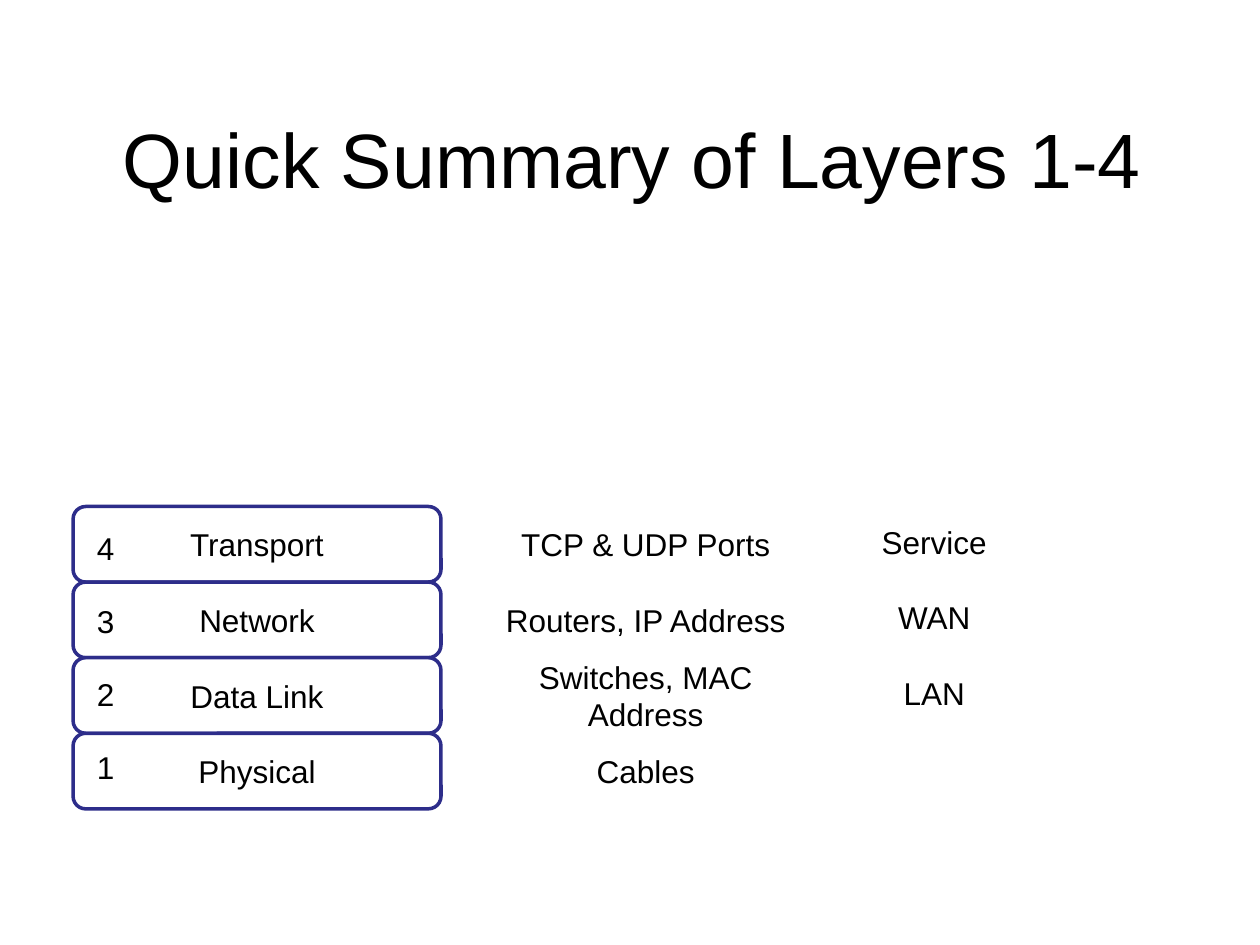
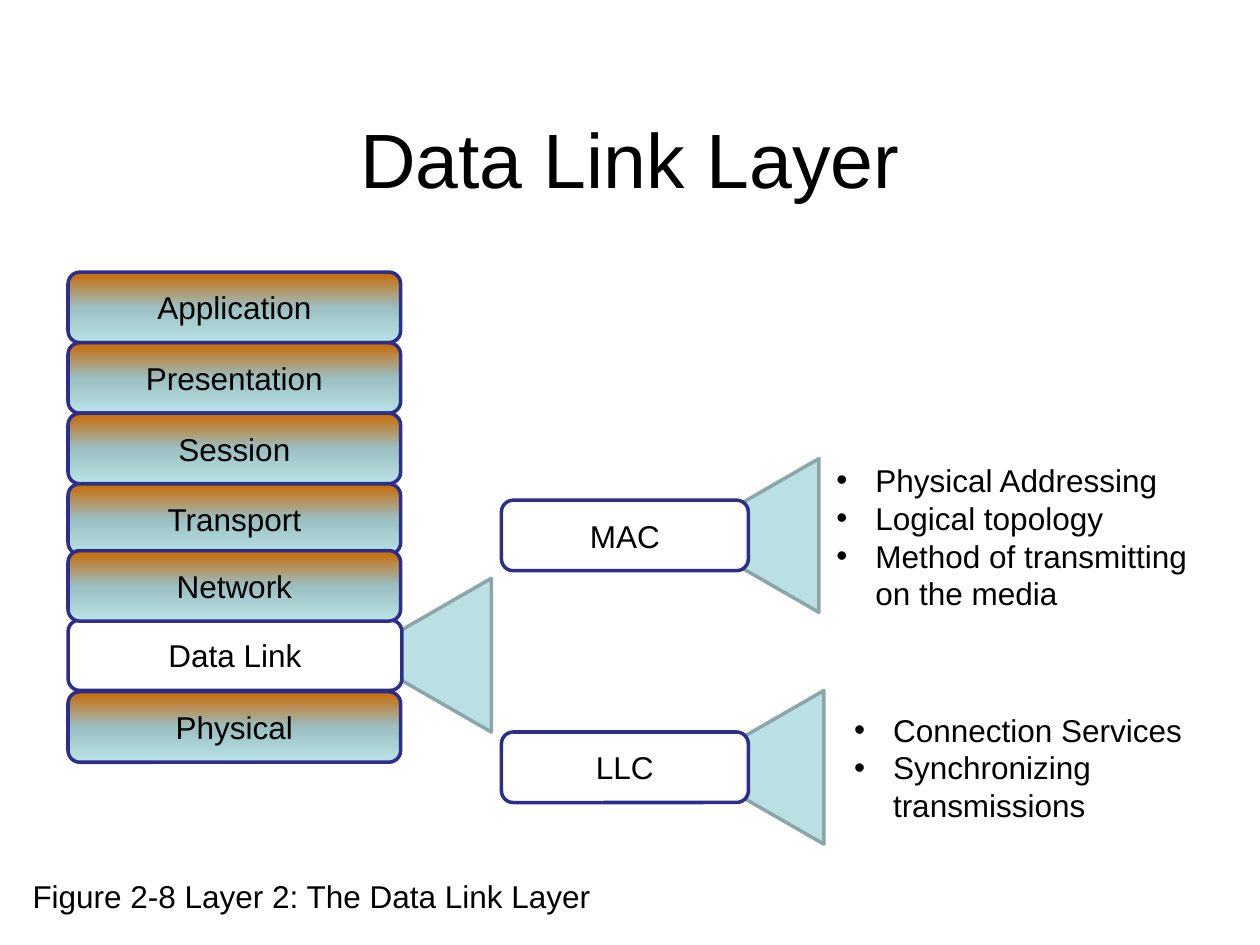
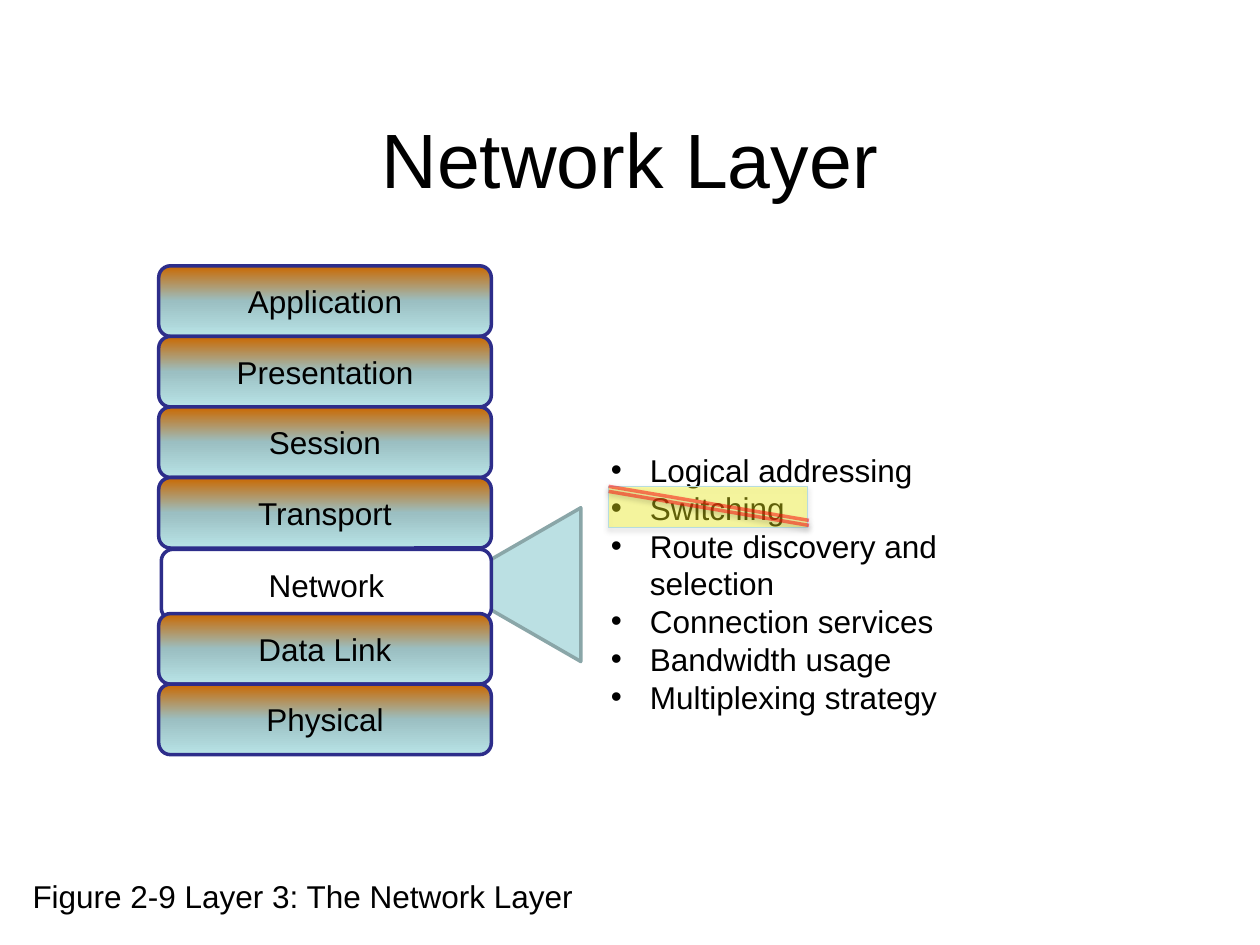
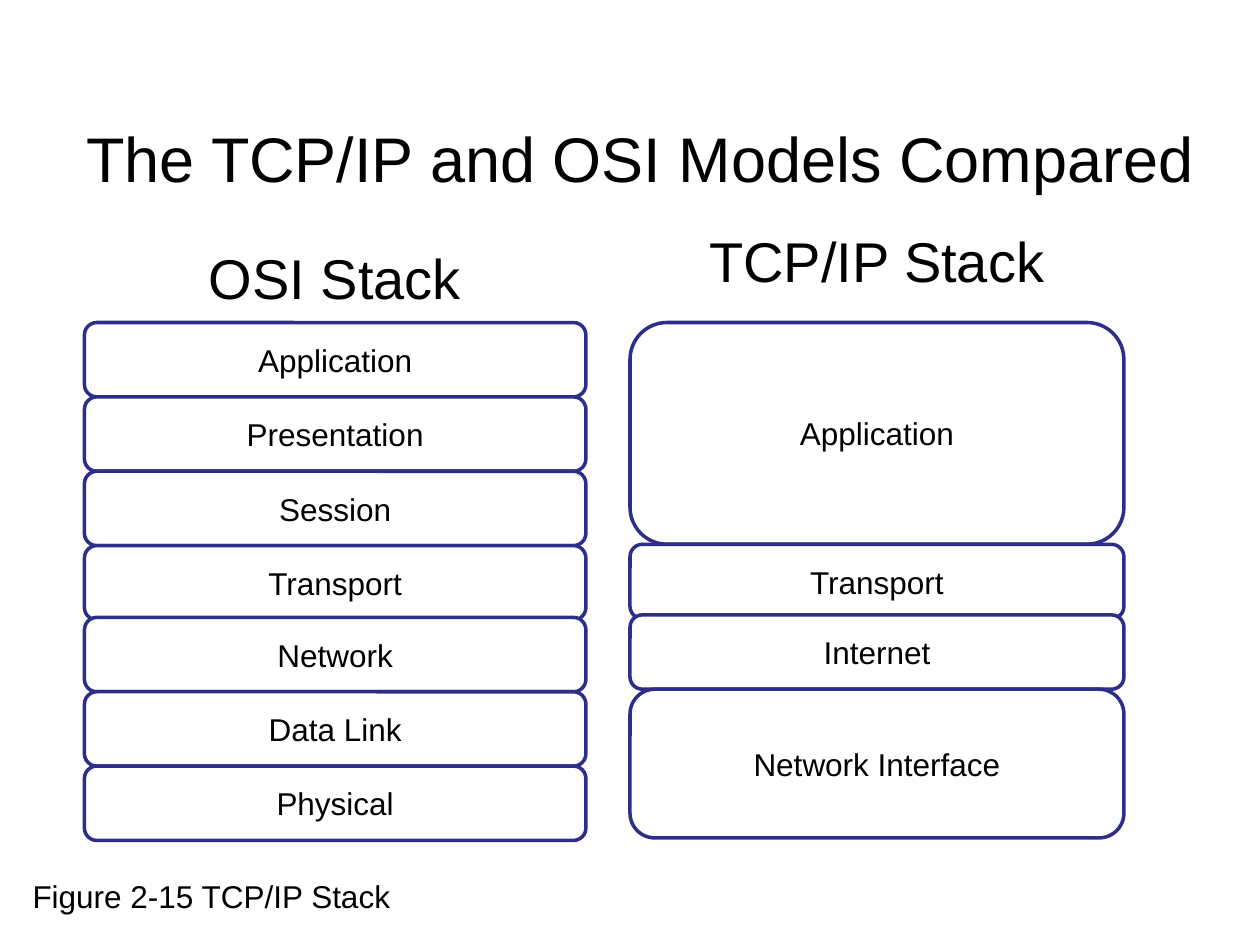
"""Builds four slides on the layers of the OSI and TCP/IP models."""
from dataclasses import dataclass

import lxml.etree
import pptx
import pptx.dml.color
import pptx.enum.shapes
import pptx.enum.text
import pptx.oxml
import pptx.oxml.ns
import pptx.util

Inches = pptx.util.Inches
Pt = pptx.util.Pt
Shape = pptx.enum.shapes.MSO_SHAPE
Align = pptx.enum.text.PP_ALIGN
Anchor = pptx.enum.text.MSO_ANCHOR
qn = pptx.oxml.ns.qn

FONT = "Arial"
HUES = {
    "text": "000000", "plain": "FFFFFF", "edge": "2D2D8A",
    "cone": "BBE0E3", "rim": "8AA6A8",
    "top": "CA6800", "mid": "9BBFC2", "low": "B8E3E6",
    "mark": "FFFF00", "frame": "B6DCDF", "strike": "FF0000", "shade": "808080",
}
LAYERS = ["Application", "Presentation", "Session", "Transport",
          "Network", "Data Link", "Physical"]
CONE = (1.22, 1.06)


@dataclass
class Box:
    """A rounded box with a centred label."""
    text: str
    left: float
    top: float
    width: float
    height: float
    blend: bool = False
    edge: bool = True


@dataclass
class Note:
    """A free text block, with or without bullets."""
    lines: list[str]
    left: float
    top: float
    width: float
    height: float
    size: int = 18
    align: Align = Align.LEFT
    dots: bool = False


def hue(name: str) -> pptx.dml.color.RGBColor:
    """Return the named colour."""
    return pptx.dml.color.RGBColor.from_string(HUES[name])


def place(left: float, top: float, width: float, height: float) -> list:
    """Turn a frame in inches into lengths."""
    return [Inches(n) for n in (left, top, width, height)]


def style(frame, size: int, align: Align) -> None:
    """Format every paragraph of a text frame."""
    for para in frame.paragraphs:
        para.alignment = align
        for run in para.runs:
            run.font.name = FONT
            run.font.size = Pt(size)
            run.font.color.rgb = hue("text")


def start(deck, text: str, left: float = 0.5, width: float = 9, size: int = 44):
    """Add a slide with its title."""
    slide = deck.slides.add_slide(deck.slide_layouts[5])
    title = slide.shapes.title
    title.left, title.top, title.width, title.height = place(left, 0.75, width, 1)
    title.text_frame.text = text
    title.text_frame.vertical_anchor = Anchor.MIDDLE
    style(title.text_frame, size, Align.CENTER)
    return slide


def blend(shape) -> None:
    """Fill a shape from orange at the top to pale blue."""
    shape.fill.gradient()
    grad = shape.element.spPr.find(qn("a:gradFill"))
    stops = grad.find(qn("a:gsLst"))
    for stop in list(stops):
        stops.remove(stop)
    for spot, name in ((0, "top"), (50, "mid"), (100, "low")):
        stop = lxml.etree.SubElement(stops, qn("a:gs"), pos=str(spot * 1000))
        lxml.etree.SubElement(stop, qn("a:srgbClr"), val=HUES[name])
    grad.find(qn("a:lin")).set("ang", "5400000")


def add_box(slide, box: Box) -> None:
    """Draw a rounded box."""
    shape = slide.shapes.add_shape(
        Shape.ROUNDED_RECTANGLE, *place(box.left, box.top, box.width, box.height))
    shape.shadow.inherit = False
    if box.blend:
        blend(shape)
    else:
        shape.fill.solid()
        shape.fill.fore_color.rgb = hue("plain")
    if box.edge:
        shape.line.color.rgb = hue("edge")
        shape.line.width = Pt(2)
    else:
        shape.line.fill.background()
    shape.text_frame.text = box.text
    shape.text_frame.vertical_anchor = Anchor.MIDDLE
    style(shape.text_frame, 18, Align.CENTER)


def add_note(slide, note: Note) -> None:
    """Draw a text block."""
    shape = slide.shapes.add_textbox(
        *place(note.left, note.top, note.width, note.height))
    frame = shape.text_frame
    frame.word_wrap = True
    frame.auto_size = pptx.enum.text.MSO_AUTO_SIZE.SHAPE_TO_FIT_TEXT
    frame.text = "\n".join(note.lines)
    style(frame, note.size, note.align)
    if note.dots:
        for para in frame.paragraphs:
            props = para._p.get_or_add_pPr()
            props.set("marL", str(Inches(0.31)))
            props.set("indent", str(-Inches(0.31)))
            lxml.etree.SubElement(props, qn("a:buFont"), typeface=FONT)
            lxml.etree.SubElement(props, qn("a:buChar"), char="•")


def add_cone(slide, left: float, top: float) -> None:
    """Draw a triangle that opens to the right."""
    shape = slide.shapes.add_shape(
        Shape.ISOSCELES_TRIANGLE, *place(left, top, *CONE))
    shape.rotation = 270
    shape.shadow.inherit = False
    shape.fill.solid()
    shape.fill.fore_color.rgb = hue("cone")
    shape.line.color.rgb = hue("rim")
    shape.line.width = Pt(2)


def add_foot(slide, text: str) -> None:
    """Draw the figure caption."""
    add_note(slide, Note([text], 0.16, 6.91, 5.75, 0.4))


def add_stack(slide, first: Box, names: list[str], step: float,
              drop: float = 0, skip: str = "") -> None:
    """Draw a column of boxes; the lower layers move up by drop."""
    for i, name in enumerate(names):
        if name != skip:
            top = first.top + i * step - (drop if i >= 4 else 0)
            add_box(slide, Box(name, first.left, top, first.width,
                               first.height, first.blend, first.edge))


def fade(color, share: int) -> None:
    """Set the opacity of a colour element in percent."""
    lxml.etree.SubElement(color, qn("a:alpha"), val=str(share * 1000))


def shade(shape, share: int, gap: float, name: str) -> None:
    """Give a shape a soft shadow below it."""
    props = shape.element.spPr
    effect = props.find(qn("a:effectLst"))
    if effect is None:
        effect = lxml.etree.SubElement(props, qn("a:effectLst"))
    cast = lxml.etree.SubElement(
        effect, qn("a:outerShdw"), blurRad=str(Pt(3.1)), dist=str(Pt(gap)),
        dir="5400000", rotWithShape="0")
    fade(lxml.etree.SubElement(cast, qn("a:srgbClr"), val=HUES[name]), share)


def add_mark(slide) -> None:
    """Highlight a line of text and strike it out twice."""
    left, top = 4.83, 3.86
    band = slide.shapes.add_shape(Shape.RECTANGLE, *place(left, top, 1.58, 0.33))
    band.shadow.inherit = False
    band.fill.solid()
    band.fill.fore_color.rgb = hue("mark")
    fade(band.element.spPr.find(qn("a:solidFill"))[0], 34)
    band.line.color.rgb = hue("frame")
    band.line.width = Pt(0.75)
    shade(band, 35, 1.8, "shade")
    for y, name in ((top, "shade"), (top + 0.04, "text")):
        line = slide.shapes.add_connector(
            pptx.enum.shapes.MSO_CONNECTOR.STRAIGHT,
            *place(left, y, left + 1.59, y + 0.27))
        line.line.color.rgb = hue("strike")
        line.line.width = Pt(2)
        fade(next(line.element.spPr.iter(qn("a:srgbClr"))), 49)
        shade(line, 38, 1.6, name)


def draw_sum(deck) -> None:
    """Draw the summary of layers one to four."""
    slide = start(deck, "Quick Summary of Layers 1-4", left=0.52)
    add_stack(slide, Box("", 0.58, 4.02, 2.92, 0.6), LAYERS[3:], 0.6)
    for i in range(4):
        add_note(slide, Note([str(4 - i)], 0.67, 4.15 + i * 0.58, 0.75, 0.4))
    tools = ["TCP & UDP Ports", "Routers, IP Address",
             "Switches, MAC Address", "Cables"]
    add_stack(slide, Box("", 3.75, 4.02, 2.75, 0.6, edge=False), tools, 0.6)
    add_stack(slide, Box("", 6.75, 4, 1.33, 0.6, edge=False),
              ["Service", "WAN", "LAN"], 0.6)


def draw_link(deck) -> None:
    """Draw the data link layer and its two parts."""
    slide = start(deck, "Data Link Layer")
    for left, top in ((5.4, 5.56), (5.36, 3.72), (2.76, 4.67)):
        add_cone(slide, left, top)
    add_box(slide, Box("Data Link", 0.54, 4.92, 2.65, 0.56))
    add_stack(slide, Box("", 0.54, 2.16, 2.64, 0.56, blend=True),
              LAYERS, 0.56, 0.03, "Data Link")
    for name, top in (("MAC", 3.97), ("LLC", 5.81)):
        add_box(slide, Box(name, 3.98, top, 1.96, 0.56))
    add_note(slide, Note(["Physical Addressing", "Logical topology",
                          "Method of transmitting on the media"],
                         6.54, 3.61, 3.24, 1.31, dots=True))
    add_note(slide, Note(["Connection Services", "Synchronizing transmissions"],
                         6.68, 5.59, 3.24, 1.01, dots=True))
    add_foot(slide, "Figure 2-8 Layer 2: The Data Link Layer")


def draw_net(deck) -> None:
    """Draw the network layer and its tasks."""
    slide = start(deck, "Network Layer")
    add_cone(slide, 3.47, 4.11)
    add_box(slide, Box("Network", 1.28, 4.36, 2.62, 0.56))
    add_stack(slide, Box("", 1.26, 2.11, 2.64, 0.56, blend=True),
              LAYERS, 0.56, 0.04, "Network")
    add_note(slide, Note(["Logical addressing", "Switching",
                          "Route discovery and selection",
                          "Connection services", "Bandwidth usage",
                          "Multiplexing strategy"],
                         4.75, 3.53, 3.24, 2.22, dots=True))
    add_foot(slide, "Figure 2-9 Layer 3: The Network Layer")
    add_mark(slide)


def draw_both(deck) -> None:
    """Draw the two models side by side."""
    slide = start(deck, "The TCP/IP and OSI Models Compared", 0.33, 9.5, 36)
    for name, top, height in (("Application", 2.56, 1.76),
                              ("Transport", 4.32, 0.59),
                              ("Internet", 4.88, 0.59),
                              ("Network Interface", 5.47, 1.18)):
        add_box(slide, Box(name, 5, top, 3.92, height))
    add_stack(slide, Box("", 0.67, 2.56, 3.98, 0.59), LAYERS, 0.59, 0.02)
    for name, left, top in (("TCP/IP Stack", 5, 1.75), ("OSI Stack", 0.7, 1.88)):
        add_note(slide, Note([name], left, top, 3.92, 0.64, 32, Align.CENTER))
    add_foot(slide, "Figure 2-15 TCP/IP Stack")


def main() -> None:
    """Build and save the deck."""
    deck = pptx.Presentation()
    deck.slide_width, deck.slide_height = Inches(10), Inches(7.5)
    for draw in (draw_sum, draw_link, draw_net, draw_both):
        draw(deck)
    deck.save("out.pptx")


if __name__ == "__main__":
    main()
